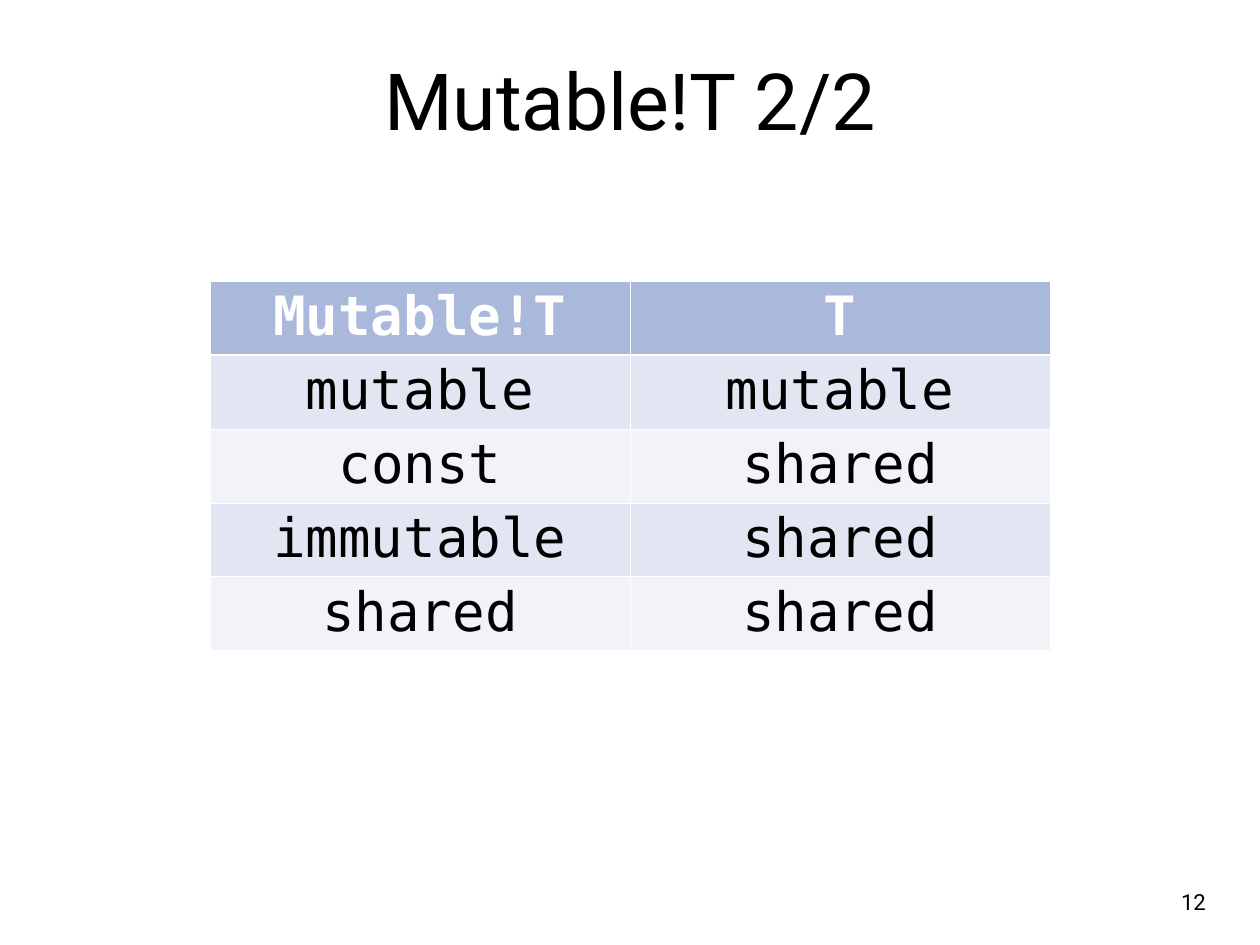
import pptx
import pptx.dml.color
import pptx.enum.text
import pptx.oxml.ns
import pptx.util
from lxml import etree

EMU_PER_PX = 9144
COLORS = {
    "text": "000000",
    "white": "FFFFFF",
    "header": "AAB8DC",
    "odd": "E2E6F2",
    "even": "F1F3F9",
}
ROWS = [
    ("Mutable!T", "T"),
    ("mutable", "mutable"),
    ("const", "shared"),
    ("immutable", "shared"),
    ("shared", "shared"),
]


def px(*lengths):
    return [pptx.util.Emu(length * EMU_PER_PX) for length in lengths]


def write(text_frame, text, font_name, size, color, bold=False):
    paragraph = text_frame.paragraphs[0]
    paragraph.text = text
    paragraph.alignment = pptx.enum.text.PP_ALIGN.CENTER
    paragraph.font.name = font_name
    paragraph.font.size = pptx.util.Pt(size)
    paragraph.font.bold = bold
    paragraph.font.color.rgb = pptx.dml.color.RGBColor.from_string(COLORS[color])


presentation = pptx.Presentation()
presentation.slide_width, presentation.slide_height = px(1422, 1066)
slide = presentation.slides.add_slide(presentation.slide_layouts[6])

anchors = pptx.enum.text.MSO_ANCHOR
for text, box, size, anchor, wrap in [
    ("Mutable!T 2/2", (104, 49, 1214, 125), 64, anchors.MIDDLE, True),
    ("12", (1324, 996, 46, 42), 18, anchors.TOP, False),
]:
    text_frame = slide.shapes.add_textbox(*px(*box)).text_frame
    text_frame.word_wrap = wrap
    text_frame.vertical_anchor = anchor
    text_frame.margin_left, text_frame.margin_right = px(6, 6)
    text_frame.margin_top, text_frame.margin_bottom = px(6, 6)
    write(text_frame, text, "Roboto", size, "text")

table = slide.shapes.add_table(len(ROWS), 2, *px(237, 317, 948, 417)).table
for row_index, row in enumerate(ROWS):
    is_header = row_index == 0
    fill = "header" if is_header else "odd" if row_index % 2 else "even"
    heavy_side = {0: "lnB", 1: "lnT"}.get(row_index)
    for column_index, text in enumerate(row):
        cell = table.cell(row_index, column_index)
        properties = cell._tc.get_or_add_tcPr()
        for side in ("lnL", "lnR", "lnT", "lnB"):
            width = pptx.util.Pt(1.47 if side == heavy_side else 0.45)
            border = etree.SubElement(properties, pptx.oxml.ns.qn(f"a:{side}"), w=str(width))
            solid = etree.SubElement(border, pptx.oxml.ns.qn("a:solidFill"))
            etree.SubElement(solid, pptx.oxml.ns.qn("a:srgbClr"), val=COLORS["white"])
        cell.fill.solid()
        cell.fill.fore_color.rgb = pptx.dml.color.RGBColor.from_string(COLORS[fill])
        write(cell.text_frame, text, "DejaVu Sans Mono", 44,
              "white" if is_header else "text", is_header)

presentation.save("out.pptx")
